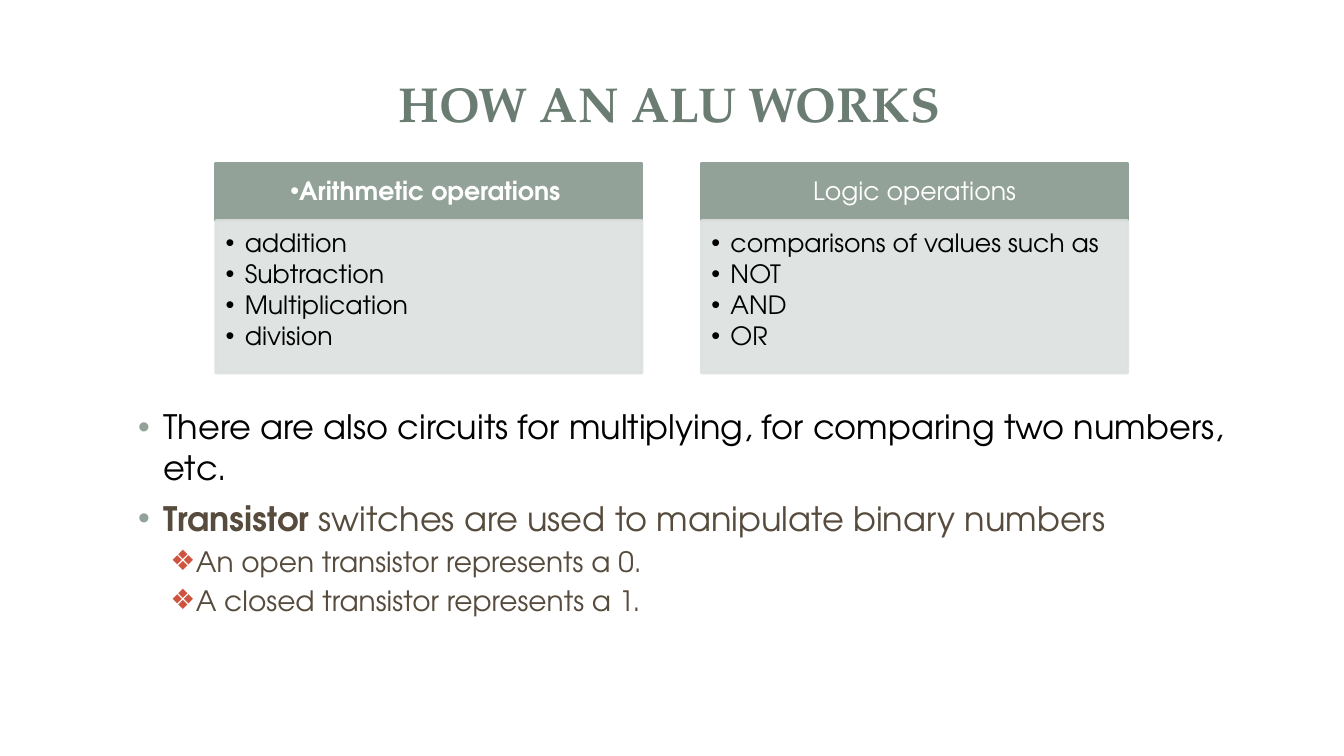
from dataclasses import dataclass

from lxml.etree import SubElement
from pptx import Presentation
from pptx.dml.color import RGBColor
from pptx.enum.shapes import MSO_SHAPE
from pptx.enum.text import MSO_ANCHOR, MSO_AUTO_SIZE, PP_ALIGN
from pptx.oxml.ns import qn
from pptx.util import Cm, Pt


@dataclass(frozen=True)
class Theme:
    serif: str = "TeX Gyre Pagella"
    sans: str = "TeX Gyre Adventor"
    title: str = "6B7D72"
    sage: str = "93A299"
    pale: str = "DCE0DE"
    brown: str = "564B3C"
    red: str = "CF543F"
    black: str = "000000"
    white: str = "FFFFFF"
    head: int = 35
    body: int = 24
    sub: int = 20
    small: int = 18


THEME = Theme()

PANELS = [
    ("Arithmetic operations ", True,
     ["addition", "Subtraction", "Multiplication", "division"]),
    ("Logic operations", False,
     ["comparisons of values such as", "NOT", "AND", "OR"]),
]

# Each point: runs of (text, bold), level, colour
POINTS = [
    ([("There are also circuits for multiplying, for comparing two numbers, etc.",
       False)], 0, THEME.black),
    ([("Transistor", True),
      ("\N{NO-BREAK SPACE}switches are used to manipulate binary numbers", False)],
     0, THEME.brown),
    ([("An open transistor represents a 0.", False)], 1, THEME.brown),
    ([("A closed transistor represents a 1.", False)], 1, THEME.brown),
]


def place(shape, left, top, width, height):
    shape.left, shape.top = Cm(left), Cm(top)
    shape.width, shape.height = Cm(width), Cm(height)


def style(font, name, size, color, bold=False):
    font.name, font.size, font.bold = name, Pt(size), bold
    font.color.rgb = RGBColor.from_string(color)


def bullet(para, mark, color, left=0, hang=0):
    """Give a paragraph a bullet; left and hang are in centimetres."""
    props = para._p.get_or_add_pPr()
    props.set("marL", str(Cm(left)))
    props.set("indent", str(-Cm(hang)))
    tint = SubElement(props, qn("a:buClr"))
    SubElement(tint, qn("a:srgbClr"), val=color)
    SubElement(props, qn("a:buFont"), typeface="Arial")
    SubElement(props, qn("a:buChar"), char=mark)


def fade(fill, share):
    """Make a solid fill see-through, leaving share percent of it."""
    tint = fill._xPr.find(qn("a:solidFill"))[0]
    SubElement(tint, qn("a:alpha"), val=str(share * 1000))


def paras(frame, count):
    return [frame.paragraphs[0]] + [frame.add_paragraph() for _ in range(1, count)]


def block(slide, area, color, insets, anchor):
    shape = slide.shapes.add_shape(MSO_SHAPE.RECTANGLE, 0, 0, 0, 0)
    place(shape, *area)
    shape.shadow.inherit = False
    for fill in (shape.fill, shape.line.fill):
        fill.solid()
        fill.fore_color.rgb = RGBColor.from_string(color)
    shape.line.width = Pt(2)
    frame = shape.text_frame
    frame.word_wrap = True
    frame.vertical_anchor = anchor
    (frame.margin_left, frame.margin_top,
     frame.margin_right, frame.margin_bottom) = map(Cm, insets)
    return shape


def panel(slide, left, label, strong, items):
    top, width, head, height = 4.11, 10.74, 1.45, 3.84
    bar = block(slide, (left, top, width, head), THEME.sage,
                (0.36, 0.2, 0.36, 0.2), MSO_ANCHOR.MIDDLE)
    para = bar.text_frame.paragraphs[0]
    para.text = label
    para.alignment = PP_ALIGN.CENTER
    para.line_spacing = 0.9
    if strong:
        bullet(para, "•", THEME.white)
    style(para.font, THEME.sans, THEME.small, THEME.white, strong)

    box = block(slide, (left, top + head, width, height), THEME.pale,
                (0.25, 0.25, 0.36, 0.41), MSO_ANCHOR.TOP)
    fade(box.fill, 90)
    fade(box.line.fill, 90)
    for para, item in zip(paras(box.text_frame, len(items)), items):
        para.text = item
        para.alignment = PP_ALIGN.LEFT
        para.line_spacing = 0.9
        para.space_after = Pt(2.7)
        bullet(para, "•", THEME.black, 0.48, 0.48)
        style(para.font, THEME.sans, THEME.small, THEME.black)


def title(slide, text):
    shape = slide.shapes.title
    place(shape, 1.57, 1.14, 30.6, 2.9)
    frame = shape.text_frame
    frame.auto_size = MSO_AUTO_SIZE.NONE
    frame.vertical_anchor = MSO_ANCHOR.MIDDLE
    para = frame.paragraphs[0]
    para.text = text
    para.alignment = PP_ALIGN.CENTER
    style(para.font, THEME.serif, THEME.head, THEME.title, True)


def points(slide, rows):
    looks = [("•", THEME.sage, 0.97, THEME.body, 8),
             ("❖", THEME.red, 1.78, THEME.sub, 4)]
    shape = slide.placeholders[1]
    place(shape, 2.9, 10.11, 28.63, 6.68)
    frame = shape.text_frame
    frame.auto_size = MSO_AUTO_SIZE.NONE
    for row, (para, (runs, level, color)) in enumerate(
            zip(paras(frame, len(rows)), rows)):
        mark, tint, left, size, gap = looks[level]
        para.level = level
        para.space_before = Pt(gap if row else 0)
        bullet(para, mark, tint, left, 0.64)
        style(para.font, THEME.sans, size, color)
        for text, strong in runs:
            run = para.add_run()
            run.text = text
            if strong:
                run.font.bold = True


def main():
    deck = Presentation()
    deck.slide_width, deck.slide_height = Cm(33.87), Cm(19.05)
    slide = deck.slides.add_slide(deck.slide_layouts[1])
    title(slide, "HOW AN ALU WORKS")
    points(slide, POINTS)
    for col, (label, strong, items) in enumerate(PANELS):
        panel(slide, 5.44 + col * 12.24, label, strong, items)
    deck.save("out.pptx")


if __name__ == "__main__":
    main()
